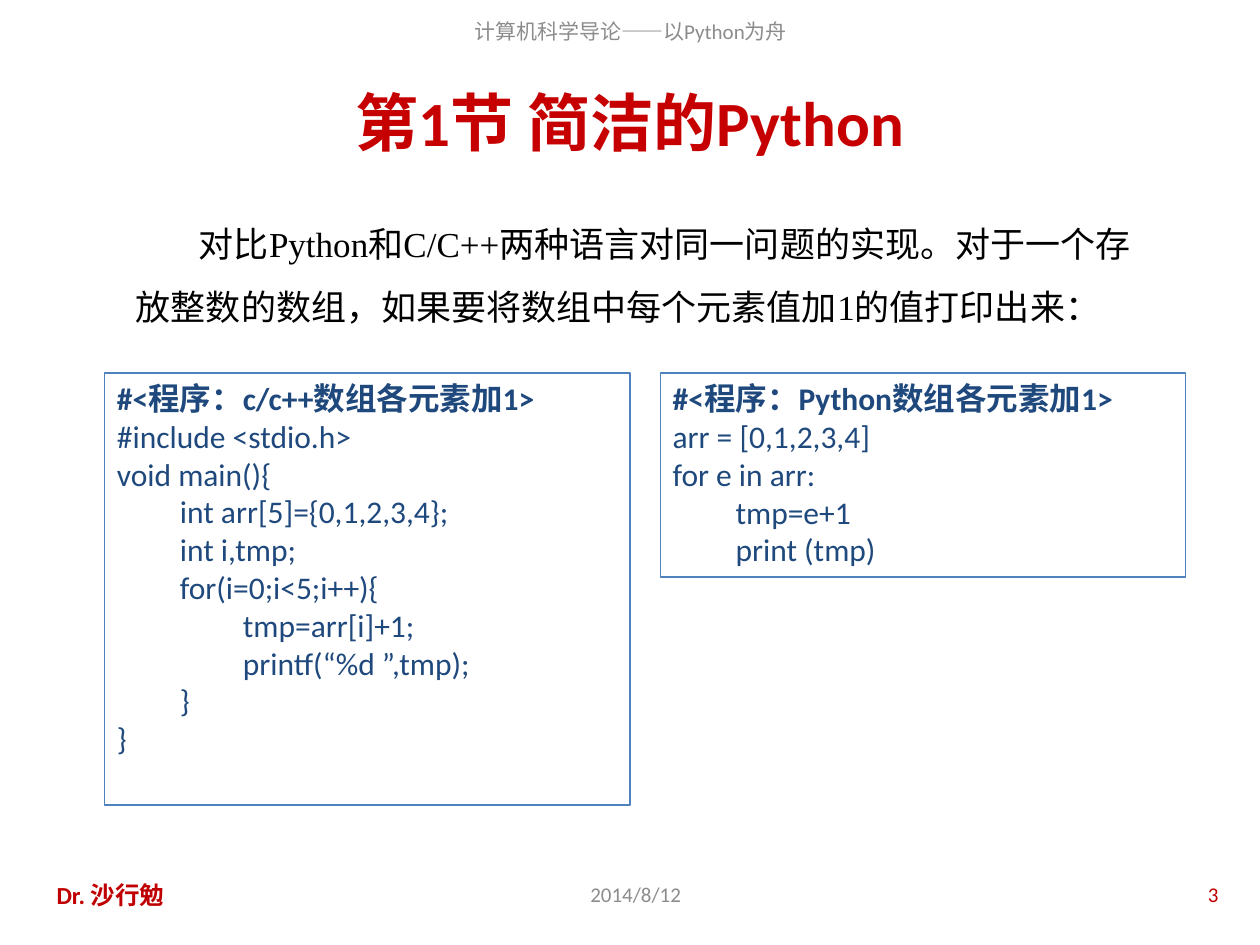
from pptx import Presentation, util as u
from pptx.dml.color import RGBColor
from pptx.enum import shapes, text

TITLE_RED = RGBColor(0xC6, 0x00, 0x00)
FOOTER_RED = RGBColor(0xC0, 0x00, 0x00)
GRAY = RGBColor(0x8C, 0x8C, 0x8C)
BLACK = RGBColor(0x00, 0x00, 0x00)
NAVY = RGBColor(0x1F, 0x49, 0x7D)
BORDER_BLUE = RGBColor(0x4F, 0x81, 0xBD)

LEFT, CENTER, RIGHT = text.PP_ALIGN.LEFT, text.PP_ALIGN.CENTER, text.PP_ALIGN.RIGHT
MIDDLE, TOP = text.MSO_ANCHOR.MIDDLE, text.MSO_ANCHOR.TOP

presentation = Presentation()
presentation.slide_width = u.Inches(10)
presentation.slide_height = u.Inches(7.5)
slide = presentation.slides.add_slide(presentation.slide_layouts[6])


def write_lines(shape, lines, size, color, align, anchor, font="Calibri", bold_lines=0):
    frame = shape.text_frame
    frame.word_wrap = True
    frame.vertical_anchor = anchor
    frame.text = "\n".join(lines)
    for index, paragraph in enumerate(frame.paragraphs):
        paragraph.alignment = align
        paragraph.font.name = font
        paragraph.font.size = u.Pt(size)
        paragraph.font.bold = index < bold_lines
        paragraph.font.color.rgb = color


def add_label(box, line, size, color, align, anchor=MIDDLE, font="Calibri", bold=False):
    shape = slide.shapes.add_textbox(*map(u.Inches, box))
    write_lines(shape, [line], size, color, align, anchor, font, int(bold))
    return shape


# Header and title
add_label((1.54, 0.05, 6.93, 0.39), "计算机科学导论——以Python为舟", 12, GRAY, CENTER)
add_label((0.5, 0.53, 9, 0.86), "第1节 简洁的Python", 36, TITLE_RED, CENTER, bold=True)

# Introduction with a first-line indent
introduction = add_label(
    (0.98, 1.55, 8.19, 1.18),
    "对比Python和C/C++两种语言对同一问题的实现。对于一个存放整数的数组，"
    "如果要将数组中每个元素值加1的值打印出来：",
    20, BLACK, LEFT, TOP, "Times New Roman")
paragraph = introduction.text_frame.paragraphs[0]
paragraph.line_spacing = 1.5
paragraph._p.get_or_add_pPr().set("indent", str(u.Inches(0.5)))

# Two programs side by side
C_PROGRAM = [
    "#<程序：c/c++数组各元素加1>",
    "#include <stdio.h>",
    "void main(){",
    "\tint arr[5]={0,1,2,3,4};",
    "\tint i,tmp;",
    "\tfor(i=0;i<5;i++){",
    "\t\ttmp=arr[i]+1;",
    "\t\tprintf(“%d ”,tmp);",
    "\t}",
    "}",
]
PYTHON_PROGRAM = [
    "#<程序：Python数组各元素加1>",
    "arr = [0,1,2,3,4]",
    "for e in arr:",
    "\ttmp=e+1",
    "\tprint (tmp)",
]
CODE_LEFT, CODE_TOP, CODE_WIDTH, CODE_GAP = 0.83, 2.96, 4.17, 0.24
for column, (program, height) in enumerate([(C_PROGRAM, 3.43), (PYTHON_PROGRAM, 1.62)]):
    left = CODE_LEFT + column * (CODE_WIDTH + CODE_GAP)
    code_box = slide.shapes.add_shape(
        shapes.MSO_SHAPE.RECTANGLE,
        *map(u.Inches, (left, CODE_TOP, CODE_WIDTH, height)))
    code_box.shadow.inherit = False
    code_box.fill.background()
    code_box.line.color.rgb = BORDER_BLUE
    code_box.line.width = u.Pt(0.75)
    write_lines(code_box, program, 18, NAVY, LEFT, TOP, bold_lines=1)

# Footer: author, date, page number
FOOTER_TOP, FOOTER_HEIGHT = 6.9, 0.4
for left, width, line, size, color, align, bold in [
    (0.35, 2.21, "Dr. 沙行勉", 14, FOOTER_RED, LEFT, True),
    (3.35, 3.39, "2014/8/12", 12, GRAY, CENTER, False),
    (7.44, 2.33, "3", 12, FOOTER_RED, RIGHT, False),
]:
    add_label((left, FOOTER_TOP, width, FOOTER_HEIGHT), line, size, color, align, bold=bold)

presentation.save("out.pptx")
